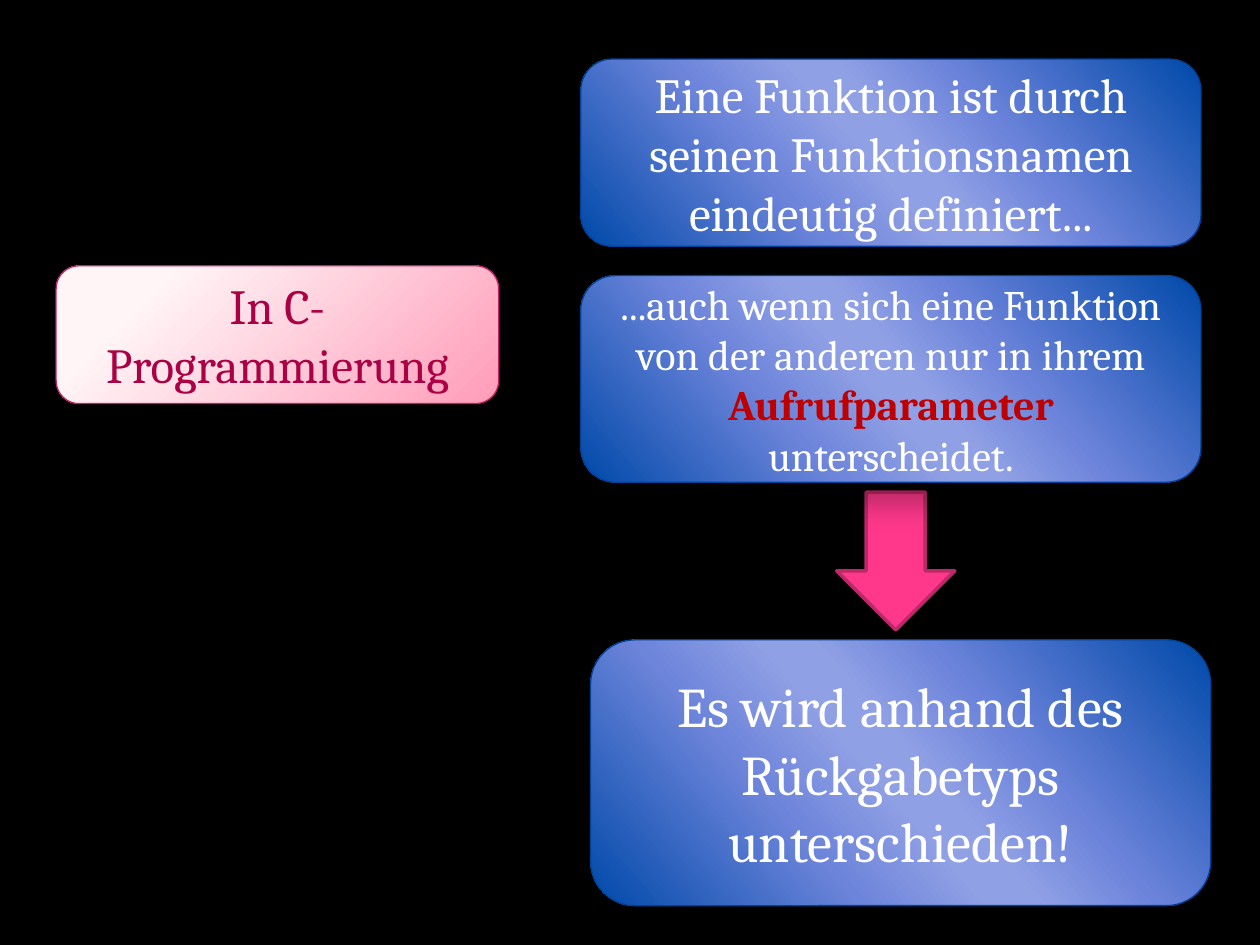
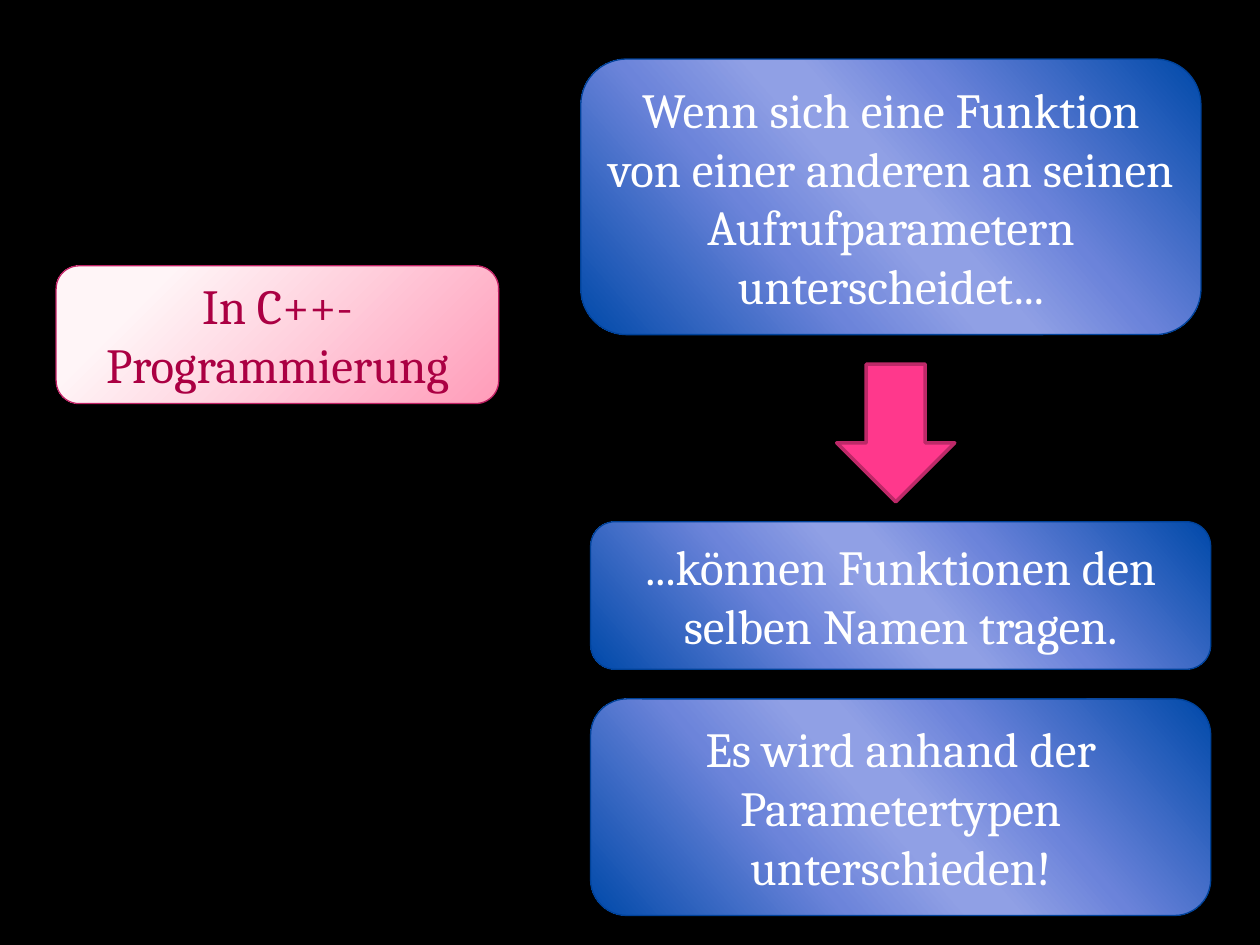
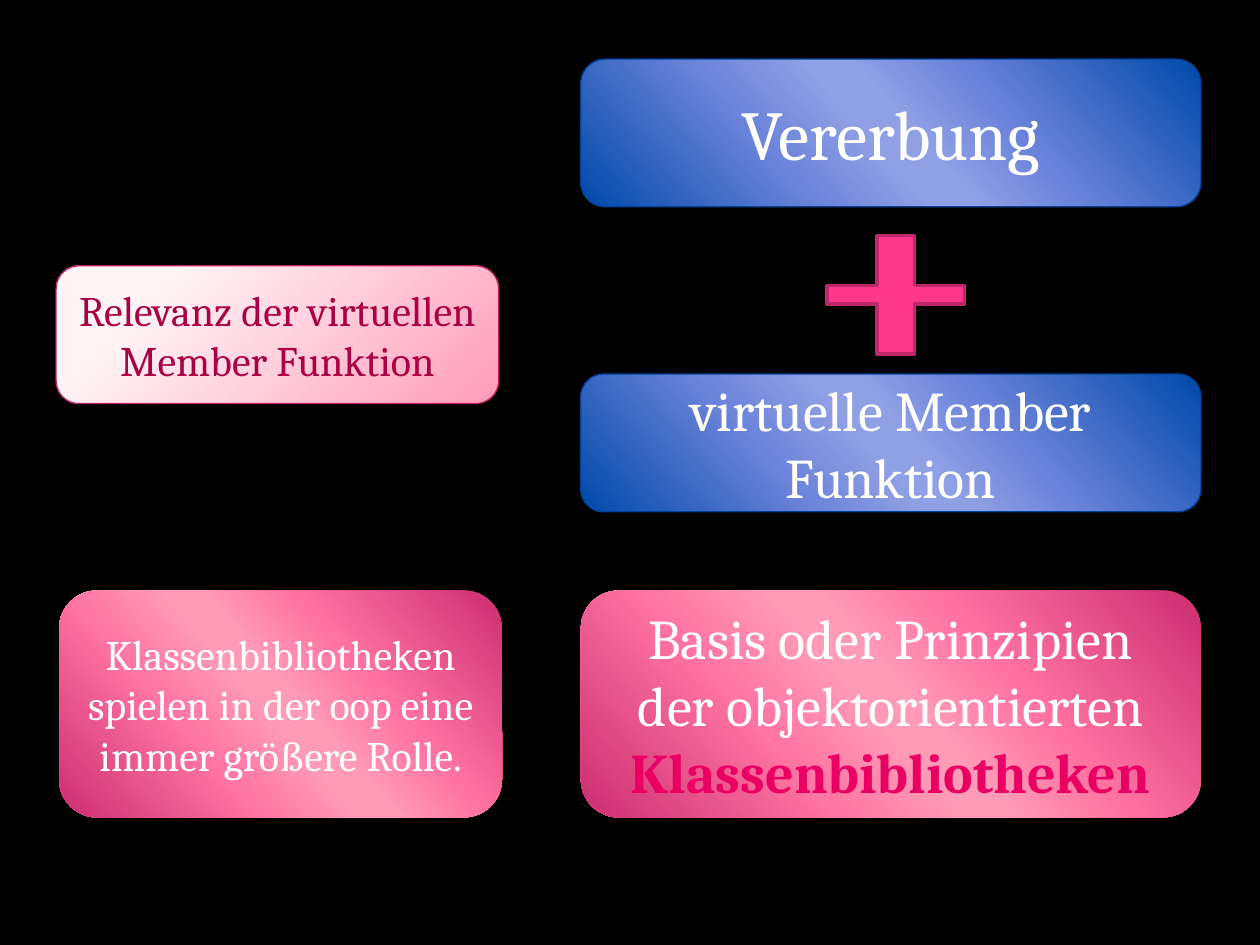
from lxml.etree import SubElement, Element
from pptx import Presentation
from pptx.dml.color import RGBColor as Rgb
from pptx.enum.shapes import MSO_SHAPE as Geometry
from pptx.enum.text import MSO_ANCHOR as Anchor, PP_ALIGN as Align
from pptx.oxml.ns import qn
from pptx.util import Pt

FONT = "Cambria"
COLORS = {
    "background": "000000",
    "white": "FFFFFF",
    "topic": "AB0043",
    "topic line": "C12165",
    "blue line": "004299",
    "symbol": "FF388C",
    "symbol line": "BD2968",
    "warning": "C00000",
    "accent": "E90062",
    "shadow": "000000",
}

# Gradient stops: percent and colour
BLUE = [(0, "0049A9"), (33, "6B83DA"), (47, "90A0E5"),
        (53, "90A0E5"), (68, "6C84DA"), (100, "0049A9")]
PINK = [(0, "CC2D70"), (33, "FF73A2"), (47, "FF9AB7"),
        (53, "FF9AB7"), (68, "FF75A3"), (100, "CC2D70")]
PALE = [(20, "FFF5F7"), (100, "FF9CB9")]
GRADIENT_ANGLE = 139

# Shadows: opacity in percent, blur and distance in points
DEEP_SHADOW = (26, 15, 18)
SOFT_SHADOW = (35, 10.2, 8)

# Shared places, in points
UPPER_LEFT, LOWER_LEFT, STATEMENT_WIDTH = 331.9, 337.5, 354.4
TOP = 33.75
TOPIC_BOX = (32.1, 151.9, 252.9, 78.75)
ARROW_LEFT, ARROW_SIZE = 478.1, (67.5, 78.75)


def color(name):
    return Rgb.from_string(COLORS[name])


def child(parent, tag, **attributes):
    texts = {key: str(value) for key, value in attributes.items()}
    return SubElement(parent, qn(tag), texts)


def fill_gradient(shape, stops, radial):
    gradient = Element(qn("a:gradFill"), rotWithShape="1")
    stop_list = child(gradient, "a:gsLst")
    for percent, rgb in stops:
        stop = child(stop_list, "a:gs", pos=percent * 1000)
        child(stop, "a:srgbClr", val=rgb)
    if radial:
        spread = child(gradient, "a:path", path="circle")
        child(spread, "a:fillToRect", l=-15000, t=-15000, r=115000, b=115000)
    else:
        child(gradient, "a:lin", ang=GRADIENT_ANGLE * 60000, scaled=0)
    shape._element.spPr.find(qn("a:prstGeom")).addnext(gradient)


def cast_shadow(shape, opacity, blur, distance):
    effects = shape._element.spPr.find(qn("a:effectLst"))
    shadow = child(effects, "a:outerShdw", blurRad=Pt(blur), dist=Pt(distance),
                   dir=45 * 60000, rotWithShape=0)
    tint = child(shadow, "a:srgbClr", val=COLORS["shadow"])
    child(tint, "a:alpha", val=opacity * 1000)


def add_outline(slide, geometry, box, line, width):
    shape = slide.shapes.add_shape(geometry, *map(Pt, box))
    shape.shadow.inherit = False
    if line:
        shape.line.color.rgb = color(line)
        shape.line.width = Pt(width)
    else:
        shape.line.fill.background()
    return shape


def add_card(slide, box, runs, size, stops, line, text_color, shadow, radial=False):
    """Rounded card; each run is (text, highlight colour or None)."""
    card = add_outline(slide, Geometry.ROUNDED_RECTANGLE, box, line, 0.75)
    fill_gradient(card, stops, radial)
    cast_shadow(card, *shadow)
    frame = card.text_frame
    frame.word_wrap = True
    frame.vertical_anchor = Anchor.MIDDLE
    paragraph = frame.paragraphs[0]
    paragraph.alignment = Align.CENTER
    for text, highlight in runs:
        run = paragraph.add_run()
        run.text = text
        run.font.name = FONT
        run.font.size = Pt(size)
        run.font.bold = highlight is not None
        run.font.color.rgb = color(highlight or text_color)


def add_topic(slide, text, size=28):
    add_card(slide, TOPIC_BOX, [(text, None)], size, PALE, "topic line",
             "topic", SOFT_SHADOW, radial=True)


def add_statement(slide, left, top, height, size, *runs):
    add_card(slide, (left, top, STATEMENT_WIDTH, height), runs, size, BLUE,
             "blue line", "white", DEEP_SHADOW)


def add_conclusion(slide, box, size, *runs):
    add_card(slide, box, runs, size, PINK, None, "white", DEEP_SHADOW)


def add_symbol(slide, geometry, box):
    symbol = add_outline(slide, geometry, box, "symbol line", 2)
    symbol.fill.solid()
    symbol.fill.fore_color.rgb = color("symbol")
    return symbol


def add_arrow(slide, top):
    add_symbol(slide, Geometry.DOWN_ARROW, (ARROW_LEFT, top, *ARROW_SIZE))


def build_c_slide(slide):
    add_statement(slide, UPPER_LEFT, TOP, 106.9, 28,
                  ("Eine Funktion ist durch seinen Funktionsnamen eindeutig definiert...", None))
    add_topic(slide, "In C-Programmierung")
    add_statement(slide, LOWER_LEFT, 365.6, 151.9, 32,
                  ("Es wird anhand des Rückgabetyps unterschieden!", None))
    add_arrow(slide, 281.25)
    # The card's shadow falls on the arrow
    add_statement(slide, UPPER_LEFT, 157.5, 118.1, 24,
                  ("...auch wenn sich eine Funktion von der anderen nur in ihrem ", None),
                  ("Aufrufparameter ", "warning"),
                  ("unterscheidet.", None))


def build_cpp_slide(slide):
    add_statement(slide, UPPER_LEFT, TOP, 157.5, 28,
                  ("Wenn sich eine Funktion von einer anderen an seinen "
                   "Aufrufparametern unterscheidet...", None))
    add_topic(slide, "In C++-Programmierung")
    add_statement(slide, LOWER_LEFT, 298.1, 84.4, 28,
                  ("...können Funktionen den selben Namen tragen.", None))
    add_arrow(slide, 208.1)
    add_statement(slide, LOWER_LEFT, 399.4, 123.75, 28,
                  ("Es wird anhand der Parametertypen unterschieden!", None))


def build_virtual_slide(slide):
    add_statement(slide, UPPER_LEFT, TOP, 84.4, 40, ("Vererbung", None))
    add_topic(slide, "Relevanz der virtuellen Member Funktion", 24)
    add_statement(slide, UPPER_LEFT, 213.75, 78.75, 32,
                  ("virtuelle Member Funktion", None))
    plus = add_symbol(slide, Geometry.CROSS, (472.5, 134.7, 78.75, 67.5))
    plus.adjustments[0] = 0.423
    # Conclusions share one row
    row_top, row_height = 337.5, 129.6
    add_conclusion(slide, (UPPER_LEFT, row_top, STATEMENT_WIDTH, row_height), 32,
                   ("Basis oder Prinzipien der objektorientierten ", None),
                   ("Klassenbibliotheken", "accent"))
    add_conclusion(slide, (33.75, row_top, 253.1, row_height), 24,
                   ("Klassenbibliotheken spielen in der oop eine immer größere Rolle.", None))


def main():
    deck = Presentation()
    deck.slide_width, deck.slide_height = Pt(720), Pt(540)
    backdrop = deck.slide_master.background.fill
    backdrop.solid()
    backdrop.fore_color.rgb = color("background")
    for build in (build_c_slide, build_cpp_slide, build_virtual_slide):
        build(deck.slides.add_slide(deck.slide_layouts[6]))
    deck.save("out.pptx")


if __name__ == "__main__":
    main()
